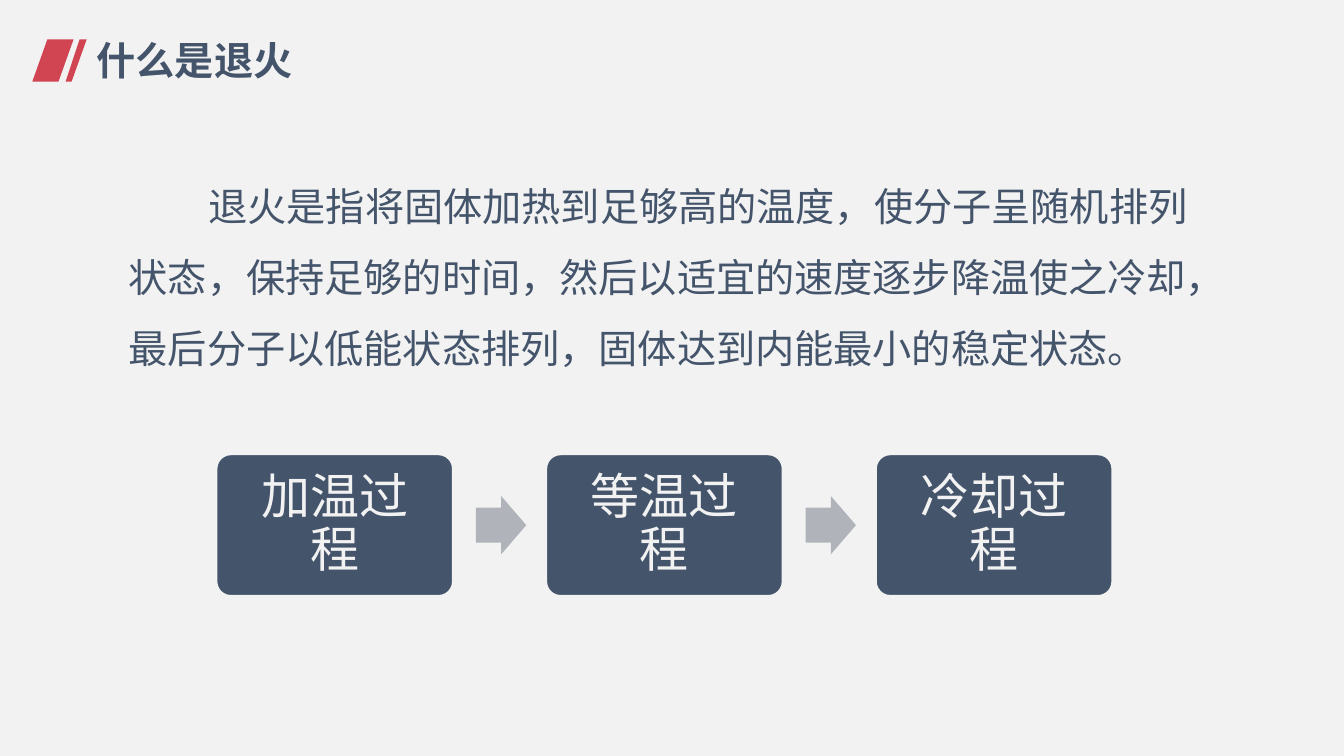
import dataclasses

import pptx
import pptx.dml.color
import pptx.enum.shapes
import pptx.enum.text
import pptx.util

COLUMNS, ROWS = 133.3, 75
CELL = pptx.util.Inches(0.1)
SHAPES = pptx.enum.shapes.MSO_SHAPE
ANCHOR = pptx.enum.text.MSO_ANCHOR
ALIGN = pptx.enum.text.PP_ALIGN


@dataclasses.dataclass(frozen=True)
class Theme:
    font: str = "Arial"
    background: str = "F2F2F2"
    accent: str = "D14553"
    dark: str = "44546B"
    arrow: str = "B0B4BA"
    text_size: int = 28
    step_size: int = 35


THEME = Theme()
TITLE = "什么是退火"
DEFINITION = (
    "退火是指将固体加热到足够高的温度，使分子呈随机排列状态，"
    "保持足够的时间，然后以适宜的速度逐步降温使之冷却，"
    "最后分子以低能状态排列，固体达到内能最小的稳定状态。"
)
STEPS = ["加温过程", "等温过程", "冷却过程"]


def cells(count):
    return round(count * CELL)


def paint(fill, color):
    fill.solid()
    fill.fore_color.rgb = pptx.dml.color.RGBColor.from_string(color)


def write(shape, text, size, color, bold=False):
    paragraph = shape.text_frame.paragraphs[0]
    paragraph.text = text
    font = paragraph.runs[0].font
    font.name = THEME.font
    font.size = pptx.util.Pt(size)
    font.bold = bold
    font.color.rgb = pptx.dml.color.RGBColor.from_string(color)
    return paragraph


def add_slash(slide, corners):
    points = [(cells(column), cells(row)) for column, row in corners]
    builder = slide.shapes.build_freeform(*points[0])
    builder.add_line_segments(points[1:], close=True)
    slash = builder.convert_to_shape()
    slash.shadow.inherit = False
    paint(slash.fill, THEME.accent)
    slash.line.fill.background()


def add_text(slide, area, text, wrap, bold=False):
    box = slide.shapes.add_textbox(*map(cells, area))
    box.text_frame.word_wrap = wrap
    paragraph = write(box, text, THEME.text_size, THEME.dark, bold)
    return box, paragraph


def add_block(slide, kind, area, color, adjustments):
    block = slide.shapes.add_shape(kind, *map(cells, area))
    for index, value in enumerate(adjustments):
        block.adjustments[index] = value
    block.shadow.inherit = False
    paint(block.fill, color)
    block.line.fill.background()
    return block


def add_step(slide, area, label):
    step = add_block(slide, SHAPES.ROUNDED_RECTANGLE, area, THEME.dark, [0.1])
    paint(step.line.fill, THEME.background)
    step.line.width = pptx.util.Pt(1)
    frame = step.text_frame
    frame.word_wrap = True
    frame.vertical_anchor = ANCHOR.MIDDLE
    frame.margin_left = frame.margin_right = cells(1.8)
    paragraph = write(step, label, THEME.step_size, THEME.background)
    paragraph.alignment = ALIGN.CENTER
    paragraph.line_spacing = 0.9


def add_process(slide, labels, left=21.5, top=45.1, pitch=32.7):
    for index, label in enumerate(labels):
        column = left + index * pitch
        add_step(slide, (column, top, 23.4, 14), label)
        if index < len(labels) - 1:
            area = (column + 25.7, top + 4.1, 5, 5.8)
            add_block(slide, SHAPES.RIGHT_ARROW, area, THEME.arrow, [0.6, 0.5])


def main():
    presentation = pptx.Presentation()
    presentation.slide_width = cells(COLUMNS)
    presentation.slide_height = cells(ROWS)
    slide = presentation.slides.add_slide(presentation.slide_layouts[6])
    paint(slide.background.fill, THEME.background)

    add_slash(slide, [(4.7, 3.9), (7.3, 3.9), (5.8, 8.1), (3.2, 8.1)])
    add_slash(slide, [(7.9, 3.9), (8.6, 3.9), (7.1, 8.1), (6.5, 8.1)])
    title, _ = add_text(slide, (8.6, 3.1, 21.7, 5.7), TITLE, False, True)
    title.text_frame.vertical_anchor = ANCHOR.MIDDLE

    _, paragraph = add_text(slide, (11.8, 15.3, 108, 21.4), DEFINITION, True)
    paragraph.line_spacing = 1.5
    paragraph._p.get_or_add_pPr().set("indent", str(cells(7.9)))

    add_process(slide, STEPS)
    presentation.save("out.pptx")


if __name__ == "__main__":
    main()
